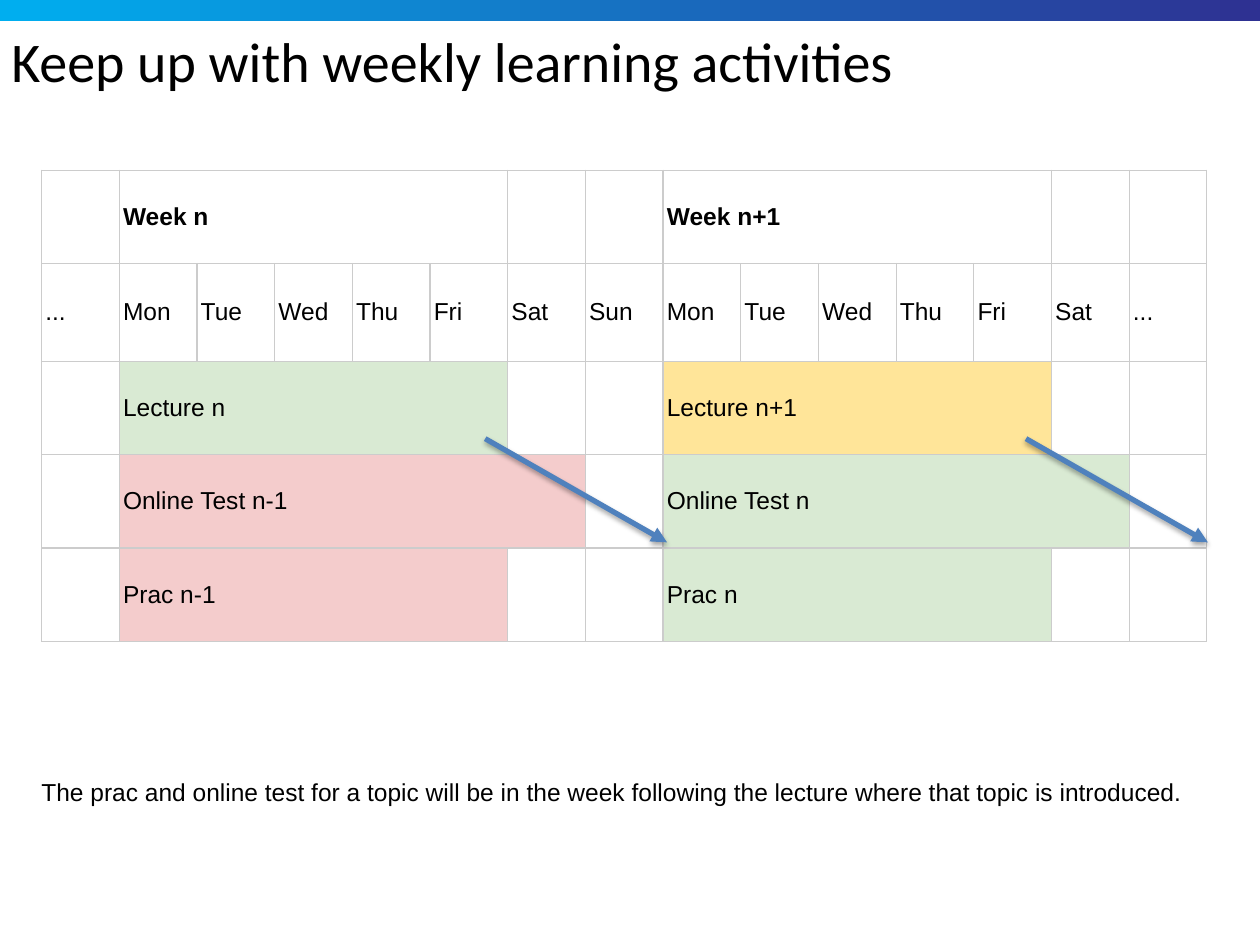
from lxml import etree
from pptx import Presentation
from pptx import util as u
from pptx.dml.color import RGBColor
from pptx.enum import shapes, text
from pptx.oxml import ns

BLACK = RGBColor(0, 0, 0)
CYAN = RGBColor(0x00, 0xAE, 0xEF)
INDIGO = RGBColor(0x2E, 0x31, 0x92)
GREEN = RGBColor(0xD9, 0xEA, 0xD3)
YELLOW = RGBColor(0xFF, 0xE5, 0x99)
PINK = RGBColor(0xF4, 0xCC, 0xCC)
BLUE = RGBColor(0x4F, 0x81, 0xBD)
GREY = RGBColor(0xCC, 0xCC, 0xCC)

WEEKDAYS = ["Mon", "Tue", "Wed", "Thu", "Fri", "Sat"]
DAYS = ["...", *WEEKDAYS, "Sun", *WEEKDAYS, "..."]
WEEK_STARTS = (1, 8)
ROW_HEIGHTS = (0.74, 0.78, 0.74, 0.74, 0.74)
ACTIVITIES = [
    (0, 5, [("Week n", None), ("Week n+1", None)]),
    (2, 5, [("Lecture n", GREEN), ("Lecture n+1", YELLOW)]),
    (3, 6, [("Online Test n-1", PINK), ("Online Test n", GREEN)]),
    (4, 5, [("Prac n-1", PINK), ("Prac n", GREEN)]),
]
ARROW_STARTS = (5.71, 12.67)
ARROW_COLUMNS = 2.34
ARROW_TOP, ARROW_BOTTOM = 0.57, 0.79


def inches(*lengths):
    """Convert lengths in inches to slide units."""
    return [u.Inches(length) for length in lengths]


def add_node(parent, tag, **attributes):
    """Append a DrawingML element and return it."""
    return etree.SubElement(parent, ns.qn(tag), attributes)


def style_text(paragraph, size, face="Arial", bold=False):
    """Set a paragraph's font."""
    font = paragraph.font
    font.size, font.name, font.bold = u.Pt(size), face, bold
    font.color.rgb = BLACK


def add_banner(slide, box):
    """Draw the gradient strip along the top edge."""
    banner = slide.shapes.add_shape(shapes.MSO_SHAPE.RECTANGLE, *inches(*box))
    banner.shadow.inherit = False
    banner.line.fill.background()
    banner.fill.gradient()
    banner.fill.gradient_angle = 0
    for stop, color, position in zip(banner.fill.gradient_stops, (CYAN, INDIGO), (0, 1)):
        stop.color.rgb, stop.position = color, position


def add_title(slide, box):
    """Place and format the title placeholder."""
    title = slide.shapes.title
    title.left, title.top, title.width, title.height = inches(*box)
    frame = title.text_frame
    frame.text = "Keep up with weekly learning activities"
    frame.vertical_anchor = text.MSO_ANCHOR.MIDDLE
    frame.margin_left = frame.margin_right = u.Inches(0.07)
    frame.margin_top = frame.margin_bottom = u.Inches(0.07)
    heading = frame.paragraphs[0]
    heading.alignment = text.PP_ALIGN.LEFT
    style_text(heading, 32, "Calibri")


def format_cell(cell):
    """Give a timetable cell its borders, margins and empty fill."""
    properties = cell._tc.get_or_add_tcPr()
    for side in ("a:lnL", "a:lnR", "a:lnT", "a:lnB"):
        border = add_node(properties, side, w=str(u.Pt(0.75)))
        add_node(add_node(border, "a:solidFill"), "a:srgbClr", val=str(GREY))
    cell.fill.background()
    cell.vertical_anchor = text.MSO_ANCHOR.MIDDLE
    cell.margin_left = cell.margin_right = u.Inches(0.03)
    cell.margin_top = cell.margin_bottom = u.Inches(0.02)
    style_text(cell.text_frame.paragraphs[0], 14)


def write_cell(cell, label, bold=False):
    """Write a label into a timetable cell."""
    cell.text = label
    style_text(cell.text_frame.paragraphs[0], 14, bold=bold)


def add_timetable(slide, box):
    """Build the two-week timetable with its merged activity bars."""
    frame = slide.shapes.add_table(len(ROW_HEIGHTS), len(DAYS), *inches(*box))
    table = frame.table
    table.first_row = table.horz_banding = False
    for column in table.columns:
        column.width = u.Inches(box[2] / len(DAYS))
    for row, height in zip(table.rows, ROW_HEIGHTS):
        row.height = u.Inches(height)
    for cell in table.iter_cells():
        format_cell(cell)
    for column, day in enumerate(DAYS):
        write_cell(table.cell(1, column), day)
    for row, span, weeks in ACTIVITIES:
        for start, (label, color) in zip(WEEK_STARTS, weeks):
            activity = table.cell(row, start)
            activity.merge(table.cell(row, start + span - 1))
            write_cell(activity, label, bold=row == 0)
            if color is not None:
                activity.fill.solid()
                activity.fill.fore_color.rgb = color


def add_arrow(slide, start, end):
    """Draw a shadowed arrow from a lecture to the next week."""
    arrow = slide.shapes.add_connector(
        shapes.MSO_CONNECTOR.STRAIGHT, *inches(*start, *end))
    arrow.line.color.rgb = BLUE
    arrow.line.width = u.Pt(3)
    add_node(arrow.line._get_or_add_ln(), "a:tailEnd", type="triangle")
    effects = add_node(arrow._element.spPr, "a:effectLst")
    shadow = add_node(effects, "a:outerShdw", blurRad=str(u.Pt(3.1)),
                      dist=str(u.Pt(1.8)), dir="5400000", rotWithShape="0")
    add_node(add_node(shadow, "a:srgbClr", val=str(BLACK)), "a:alpha", val="35000")


def add_arrows(slide, box):
    """Link each week's lecture to the following week over the timetable."""
    left, top, width, height = box
    column = width / len(DAYS)
    for start in ARROW_STARTS:
        add_arrow(slide,
                  (left + start * column, top + ARROW_TOP * height),
                  (left + (start + ARROW_COLUMNS) * column, top + ARROW_BOTTOM * height))


def add_note(slide, box):
    """Write the remark below the timetable."""
    frame = slide.shapes.add_textbox(*inches(*box)).text_frame
    frame.word_wrap = False
    frame.auto_size = text.MSO_AUTO_SIZE.SHAPE_TO_FIT_TEXT
    frame.text = ("The prac and online test for a topic will be in the week "
                  "following the lecture where that topic is introduced.")
    style_text(frame.paragraphs[0], 14)


def main():
    """Build and save the slide."""
    deck = Presentation()
    deck.slide_width, deck.slide_height = inches(10, 7.5)
    slide = deck.slides.add_slide(deck.slide_layouts[5])
    timetable = (0.33, 1.35, 9.25, sum(ROW_HEIGHTS))
    add_banner(slide, (0, 0, 10, 0.17))
    add_title(slide, (0.02, 0.21, 9.38, 0.54))
    add_timetable(slide, timetable)
    add_note(slide, (0.23, 6.12, 9.45, 0.34))
    add_arrows(slide, timetable)
    deck.save("out.pptx")


if __name__ == "__main__":
    main()
